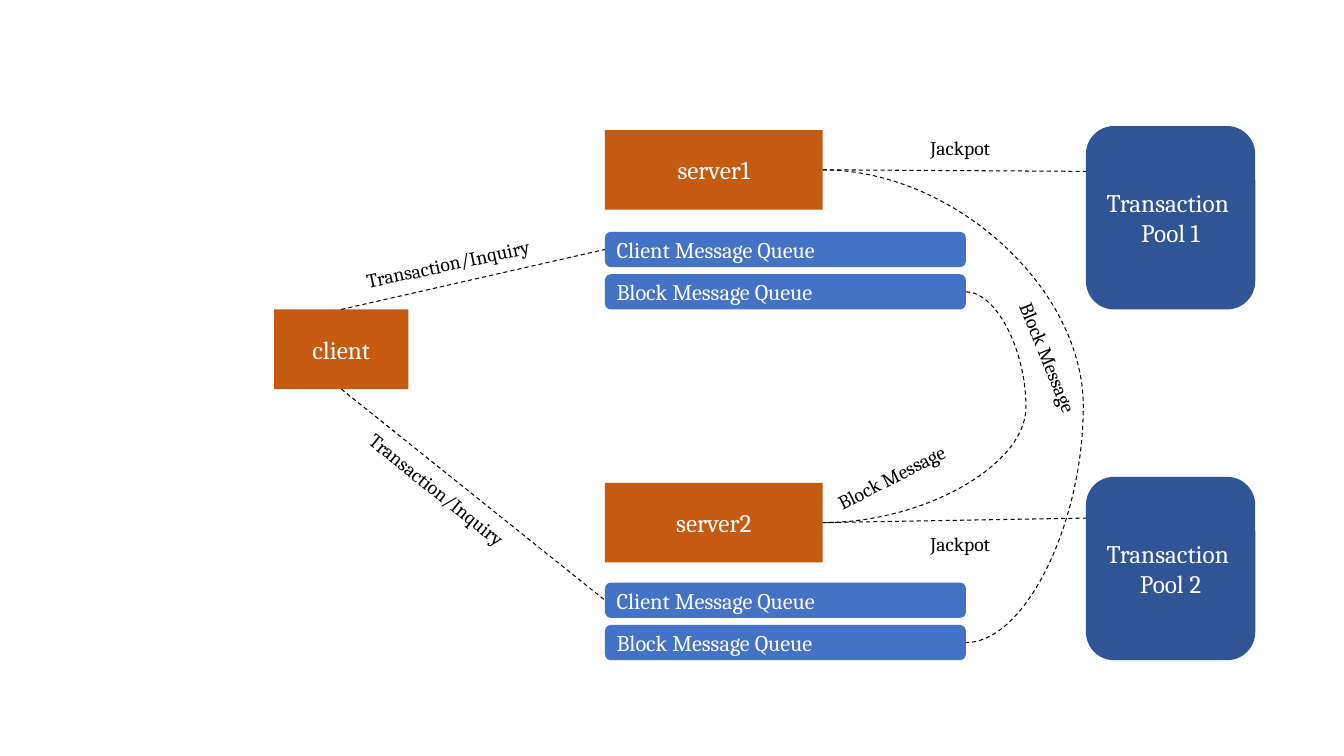
from pptx import Presentation
from pptx.dml.color import RGBColor
from pptx.enum.dml import MSO_LINE
from pptx.enum.shapes import MSO_CONNECTOR, MSO_SHAPE
from pptx.enum.text import MSO_ANCHOR, PP_ALIGN
from pptx.oxml.ns import qn
from pptx.util import Inches, Pt
from lxml.etree import SubElement

ORANGE = RGBColor(0xC5, 0x5A, 0x11)
BLUE = RGBColor(0x44, 0x72, 0xC4)
NAVY = RGBColor(0x2F, 0x55, 0x97)
WHITE = RGBColor(0xFF, 0xFF, 0xFF)
BLACK = RGBColor(0, 0, 0)
TOP, LEFT, BOTTOM, RIGHT = range(4)


class Board:
    font = "Cambria"

    def __init__(self, slide):
        self.slide = slide

    def letter(self, shape, text, size, color, align=PP_ALIGN.LEFT):
        frame = shape.text_frame
        frame.word_wrap = True
        frame.text = text
        style = {"name": self.font, "size": Pt(size)}
        for para in frame.paragraphs:
            para.alignment = align
            for key, value in style.items():
                setattr(para.font, key, value)
            para.font.color.rgb = color

    def box(self, kind, spot, text, fill, size=18, align=PP_ALIGN.CENTER):
        shape = self.slide.shapes.add_shape(kind, *map(Inches, spot))
        shape.shadow.inherit = False
        shape.fill.solid()
        shape.fill.fore_color.rgb = fill
        shape.line.fill.background()
        shape.text_frame.vertical_anchor = MSO_ANCHOR.MIDDLE
        self.letter(shape, text, size, WHITE, align)
        return shape

    def label(self, text, left, top, width, turn=0):
        spot = map(Inches, (left, top, width, 0.34))
        shape = self.slide.shapes.add_textbox(*spot)
        shape.rotation = turn
        self.letter(shape, text, 14, BLACK)

    def link(self, start, goal=None, point=(0, 0), bend=None):
        kind = MSO_CONNECTOR.CURVE if bend else MSO_CONNECTOR.STRAIGHT
        line = self.slide.shapes.add_connector(kind, 0, 0, *map(Inches, point))
        line.begin_connect(*start)
        if goal:
            line.end_connect(*goal)
        style = {"width": Pt(0.75), "dash_style": MSO_LINE.DASH}
        for key, value in style.items():
            setattr(line.line, key, value)
        line.line.color.rgb = BLACK
        props = line._element.spPr
        SubElement(props, qn("a:effectLst"))
        if bend:
            guides = props.find(qn("a:prstGeom")).get_or_add_avLst()
            SubElement(guides, qn("a:gd"), name="adj1", fmla=f"val {round(bend * 100000)}")


deck = Presentation()
deck.slide_width, deck.slide_height = Inches(13.33), Inches(7.5)
board = Board(deck.slides.add_slide(deck.slide_layouts[6]))

client = board.box(MSO_SHAPE.RECTANGLE, (2.72, 3.07, 1.33, 0.79), "client", ORANGE)
servers, blocks = [], []
sites = [
    (1, 1.29, 2.3, 1.25, 1.7, 1.3, TOP),
    (2, 4.79, 5.78, 4.73, 5.14, 5.23, BOTTOM),
]
for num, top, queue, pool, join, note, side in sites:
    server = board.box(MSO_SHAPE.RECTANGLE, (6, top, 2.16, 0.79), f"server{num}", ORANGE)
    inbox, block = [
        board.box(MSO_SHAPE.ROUNDED_RECTANGLE, (6, queue + row * 0.42, 3.58, 0.35),
                  f"{name} Message Queue", BLUE, 16, PP_ALIGN.LEFT)
        for row, name in enumerate(("Client", "Block"))
    ]
    board.box(MSO_SHAPE.ROUNDED_RECTANGLE, (10.77, pool, 1.68, 1.82),
              f"Transaction \nPool {num}", NAVY)
    board.link((client, side), (inbox, LEFT))
    board.link((server, RIGHT), point=(10.77, join))
    board.label("Jackpot", 9.13, note, 0.91)
    servers.append(server)
    blocks.append(block)

board.link((servers[0], RIGHT), (blocks[1], RIGHT), bend=1.82)
board.link((blocks[0], RIGHT), (servers[1], RIGHT), bend=-0.42)

board.label("Transaction/Inquiry", 3.52, 2.44, 1.93, 347.9)
board.label("Transaction/Inquiry", 3.4, 4.72, 1.93, 38.9)
board.label("Block Message", 8.15, 4.52, 1.56, 332.9)
board.label("Block Message", 9.65, 3.47, 1.56, 67.8)

deck.save("out.pptx")
